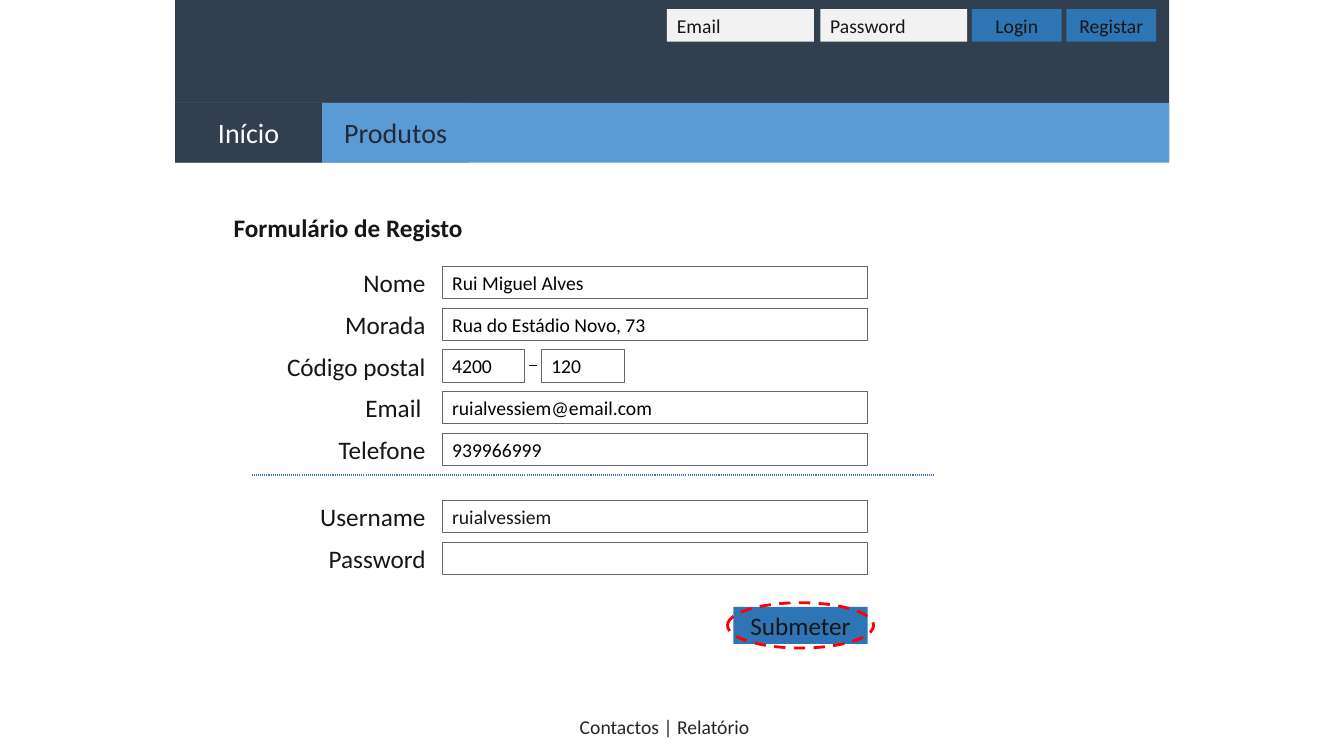
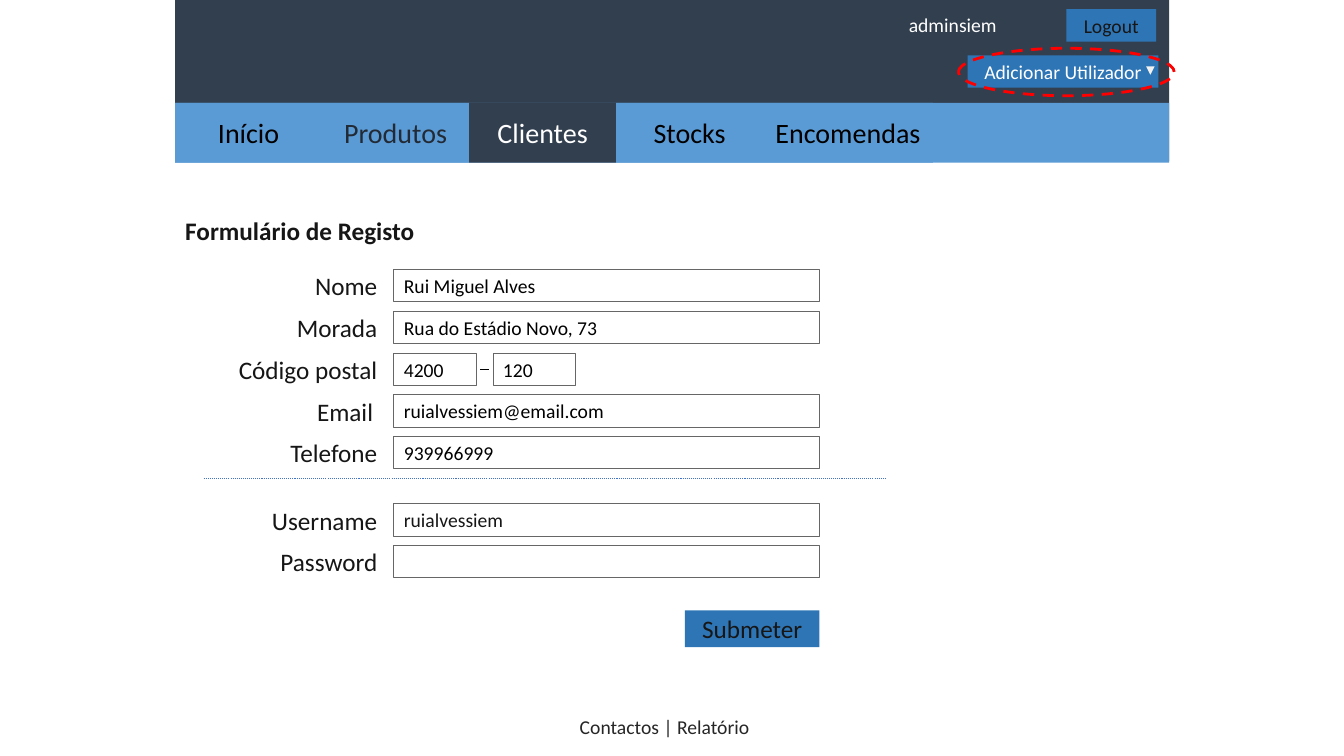
from dataclasses import dataclass

from lxml.etree import SubElement
from pptx import Presentation
from pptx.dml.color import RGBColor
from pptx.enum.dml import MSO_LINE as Dash
from pptx.enum.shapes import MSO_CONNECTOR as Connector, MSO_SHAPE as Preset
from pptx.enum.text import MSO_ANCHOR as Anchor, MSO_AUTO_SIZE as AutoSize, PP_ALIGN as Align
from pptx.oxml.ns import qn
from pptx.util import Inches, Pt

COLUMNS, ROWS = 160, 90
TITLE_ONLY = 5


@dataclass(frozen=True)
class Theme:
    font: str = "Calibri"
    # Colours
    navy: str = "323F4F"
    sky: str = "5B9BD5"
    button: str = "2E75B5"
    pale: str = "F2F2F2"
    white: str = "FFFFFF"
    black: str = "000000"
    ink: str = "171616"
    muted: str = "222A35"
    footer: str = "262626"
    border: str = "666666"
    divider: str = "4472C4"
    alert: str = "FF0000"
    # Type sizes and line widths
    small: int = 14
    medium: int = 18
    large: int = 20
    thin: float = 0.75
    thick: float = 2


THEME = Theme()

# Page grid, in columns and rows
PAGE_LEFT, PAGE_WIDTH = 20.85, 118.35
NAV_TOP, NAV_HEIGHT, TAB_WIDTH = 12.25, 7.1, 17.5
TOP_ROW, LINE_HEIGHT = 1.1, 3.85
LAST_BUTTON, TOP_BUTTON_WIDTH = 126.95, 10.7

# Form grid, measured from the form's corner
LABEL_X, LABEL_WIDTH = 1.15, 24.1
FIELD_X, FIELD_WIDTH, SHORT_WIDTH = 26.05, 50.65, 9.85
FIRST_ROW, ROW_PITCH = 6.6, 4.97
SUBMIT_WIDTH, SUBMIT_HEIGHT = 16, 4.4

# Row position, label, label shift, value, value colour
FORM_ROWS = [
    (0, "Nome", 0, "Rui Miguel Alves", THEME.black),
    (1, "Morada", 0, "Rua do Estádio Novo, 73", THEME.black),
    (2, "Código postal", 0, ("4200", "120"), THEME.black),
    (3, "Email", -0.5, "ruialvessiem@email.com", THEME.black),
    (4, "Telefone", 0, "939966999", THEME.black),
    (5.61, "Username", 0, "ruialvessiem", THEME.ink),
    (6.61, "Password", 0, "", THEME.ink),
]


def rgb(colour):
    return RGBColor.from_string(colour)


def assign(target, values):
    for name, value in values.items():
        setattr(target, name, value)


class Site:
    """Holds the style and the current slide."""

    def __init__(self, theme):
        self.theme = theme
        self.deck = Presentation()
        assign(self.deck, {"slide_width": Inches(13.33), "slide_height": Inches(7.5)})
        self.slide = None

    def x(self, columns):
        return int(self.deck.slide_width * columns / COLUMNS)

    def y(self, rows):
        return int(self.deck.slide_height * rows / ROWS)

    def box(self, left, top, width, height):
        return self.x(left), self.y(top), self.x(width), self.y(height)

    def set_text(self, shape, text, size, colour, align=Align.LEFT, bold=False,
                 anchor=Anchor.MIDDLE):
        frame = shape.text_frame
        assign(frame, {
            "text": text, "word_wrap": True, "auto_size": AutoSize.NONE,
            "vertical_anchor": anchor,
            "margin_left": Inches(0.1), "margin_right": Inches(0.1),
            "margin_top": Inches(0.05), "margin_bottom": Inches(0.05),
        })
        paragraph = frame.paragraphs[0]
        paragraph.alignment = align
        assign(paragraph.font, {"name": self.theme.font, "size": Pt(size), "bold": bold})
        paragraph.font.color.rgb = rgb(colour)

    def outline(self, line, colour, width, dash=None):
        line.color.rgb = rgb(colour)
        assign(line, {"width": Pt(width), "dash_style": dash})

    def shape(self, area, fill=None, preset=Preset.RECTANGLE):
        shape = self.slide.shapes.add_shape(preset, *self.box(*area))
        shape.shadow.inherit = False
        shape.line.fill.background()
        if fill:
            shape.fill.solid()
            shape.fill.fore_color.rgb = rgb(fill)
        else:
            shape.fill.background()
        return shape

    def label(self, area, text, size, colour, align, **layout):
        label = self.slide.shapes.add_textbox(*self.box(*area))
        self.set_text(label, text, size, colour, align, **layout)

    def panel(self, area, text, fill, size, colour, align=Align.CENTER):
        self.set_text(self.shape(area, fill), text, size, colour, align)

    def field(self, area, value, colour):
        field = self.shape(area)
        self.outline(field.line, self.theme.border, self.theme.thin)
        if value:
            self.set_text(field, value, self.theme.small, colour)

    def rule(self, start, end, row, colour, dash=None):
        rule = self.slide.shapes.add_connector(
            Connector.STRAIGHT, self.x(start), self.y(row), self.x(end), self.y(row))
        self.outline(rule.line, colour, self.theme.thin, dash)
        SubElement(rule._element.spPr, qn("a:effectLst"))

    def highlight(self, area):
        ring = self.shape(area, preset=Preset.OVAL)
        self.outline(ring.line, self.theme.alert, self.theme.thick, Dash.DASH)

    def page(self):
        """Start a slide with the shared bands and footer."""
        theme = self.theme
        self.slide = self.deck.slides.add_slide(self.deck.slide_layouts[TITLE_ONLY])
        self.shape((PAGE_LEFT, 0, PAGE_WIDTH, 19.2), theme.navy)
        self.shape((PAGE_LEFT, NAV_TOP, PAGE_WIDTH, NAV_HEIGHT), theme.sky)
        self.label((64.3, 84.5, 29.65, LINE_HEIGHT), "Contactos | Relatório",
                   theme.small, theme.footer, Align.CENTER, anchor=Anchor.TOP)

    def title(self, left, top, text):
        title = self.slide.shapes.title
        area = self.box(left, top, 32.9, LINE_HEIGHT)
        assign(title, dict(zip(("left", "top", "width", "height"), area)))
        self.set_text(title, text, self.theme.medium, self.theme.ink, bold=True)

    def tabs(self, tabs):
        for index, (text, fill, colour, width) in enumerate(tabs):
            area = (PAGE_LEFT + index * TAB_WIDTH, NAV_TOP, width, NAV_HEIGHT)
            self.panel(area, text, fill, self.theme.large, colour)

    def top_button(self, left, text):
        self.panel((left, TOP_ROW, TOP_BUTTON_WIDTH, LINE_HEIGHT), text,
                   self.theme.button, self.theme.small, self.theme.ink)

    def form(self, left, top):
        """Draw the registration form and return the area of its button."""
        theme = self.theme
        self.title(left, top, "Formulário de Registo")
        field_left = left + FIELD_X
        for position, name, shift, value, colour in FORM_ROWS:
            row = top + FIRST_ROW + position * ROW_PITCH
            self.label((left + LABEL_X + shift, row, LABEL_WIDTH, LINE_HEIGHT),
                       name, theme.medium, theme.ink, Align.RIGHT)
            if isinstance(value, tuple):
                for index, part in enumerate(value):
                    self.field((field_left + index * 11.8, row, SHORT_WIDTH, LINE_HEIGHT),
                               part, colour)
                self.rule(field_left + 10.3, field_left + 11.3, row + LINE_HEIGHT / 2, theme.black)
            else:
                self.field((field_left, row, FIELD_WIDTH, LINE_HEIGHT), value, colour)
        self.rule(left + 3.4, left + 84.5, top + 31.45, theme.divider, Dash.ROUND_DOT)
        submit = (field_left + FIELD_WIDTH - SUBMIT_WIDTH, top + 47.15, SUBMIT_WIDTH, SUBMIT_HEIGHT)
        self.panel(submit, "Submeter", theme.button, theme.medium, theme.ink)
        return submit


def visitor_page(site):
    theme = site.theme
    site.page()
    site.tabs([
        ("Início", theme.navy, theme.white, TAB_WIDTH),
        ("Produtos", theme.sky, theme.muted, TAB_WIDTH),
    ])
    # Login bar
    for left, prompt in ((79.4, "Email"), (97.65, "Password")):
        site.panel((left, TOP_ROW, TAB_WIDTH, LINE_HEIGHT), prompt,
                   theme.pale, theme.small, theme.ink, Align.LEFT)
    site.top_button(115.7, "Login")
    site.top_button(LAST_BUTTON, "Registar")
    # Form with its button marked
    left, top, width, height = site.form(26.6, 25.1)
    site.highlight((left - 0.7, top - 0.5, width + 1.4, height + 1))


def admin_page(site):
    theme = site.theme
    site.page()
    site.form(PAGE_LEFT, 25.5)
    site.tabs([
        ("Início", theme.sky, theme.black, TAB_WIDTH),
        ("Produtos", theme.sky, theme.muted, TAB_WIDTH),
        ("Clientes", theme.navy, theme.white, TAB_WIDTH),
        ("Stocks", theme.sky, theme.black, TAB_WIDTH),
        ("Encomendas", theme.sky, theme.black, 20.2),
    ])
    # Account bar
    site.label((95.75, 1, LABEL_WIDTH, LINE_HEIGHT), "adminsiem",
               theme.small, theme.white, Align.RIGHT)
    site.top_button(LAST_BUTTON, "Logout")
    # Drop-down menu, marked
    site.panel((115.2, 6.6, 22.7, LINE_HEIGHT), "Adicionar Utilizador",
               theme.button, theme.small, theme.white)
    arrow = site.shape((136.45, 7.9, 1, 1), theme.pale, Preset.ISOSCELES_TRIANGLE)
    arrow.rotation = 180
    site.highlight((114.1, 5.75, 25.7, 5.65))


def main():
    site = Site(THEME)
    visitor_page(site)
    admin_page(site)
    site.deck.save("out.pptx")


if __name__ == "__main__":
    main()
